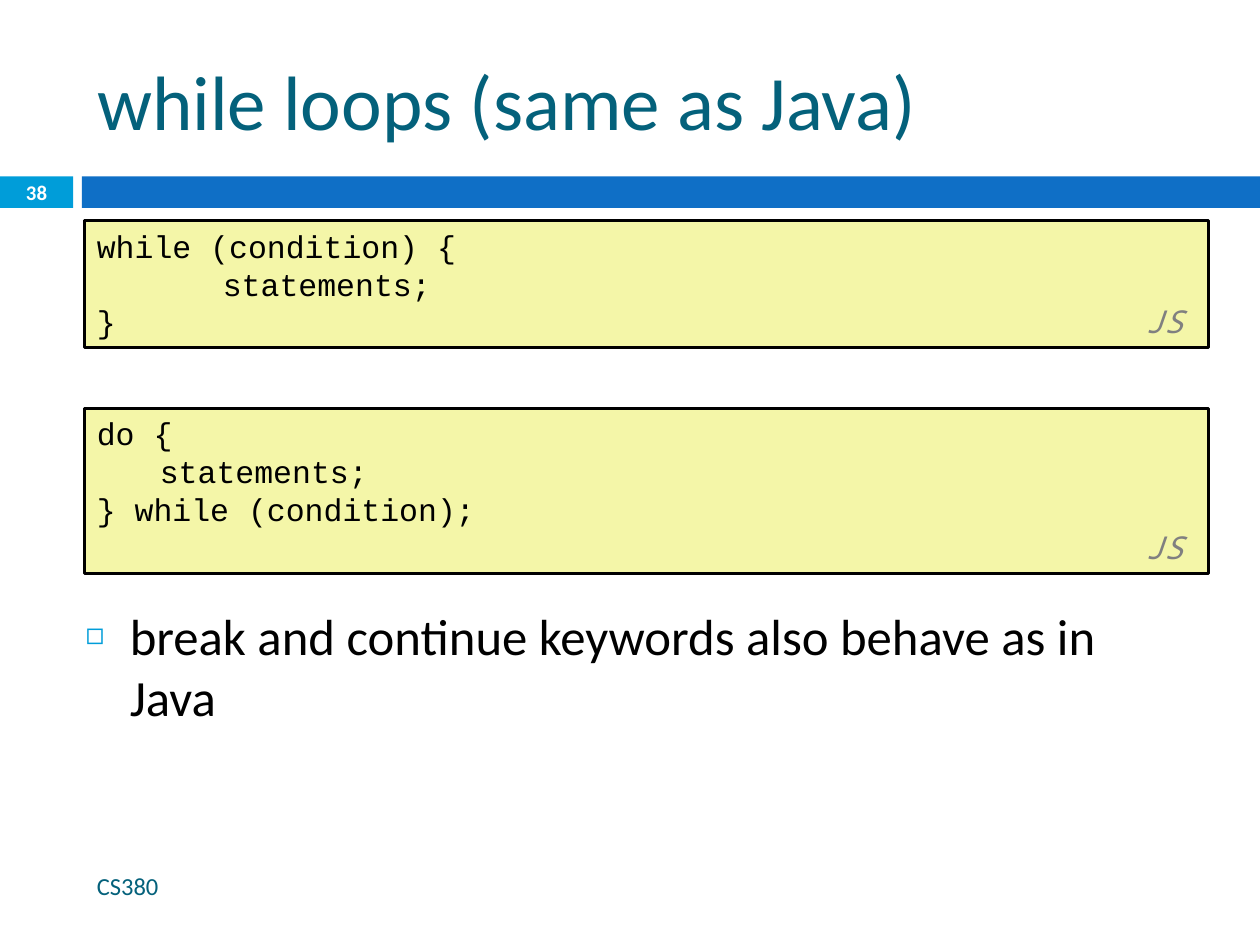
from lxml import etree
from pptx import Presentation
from pptx import util as u
from pptx.dml.color import RGBColor
from pptx.enum import shapes, text
from pptx.oxml import ns

COLORS = {
    "accent": "009DD9",
    "band": "0F6FC6",
    "heading": "04617B",
    "code_fill": "F4F6A8",
    "ink": "000000",
    "label": "808080",
    "white": "FFFFFF",
}
CODE = {"name": "Courier New", "size": u.Pt(18), "color": "ink"}
LABEL = {"name": "Noto Sans Mono", "size": u.Pt(18), "color": "label", "italic": True}
LABEL_TAB = u.Inches(8.62)


def color(key):
    return RGBColor.from_string(COLORS[key])


def place(shape, left, top, width, height):
    bounds = {"left": left, "top": top, "width": width, "height": height}
    for name, value in bounds.items():
        setattr(shape, name, u.Inches(value))


def add_span(para, words, style):
    span = para.add_run()
    span.text = words
    for name, value in style.items():
        if name == "color":
            span.font.color.rgb = color(value)
        else:
            setattr(span.font, name, value)


def set_frame(shape, anchor):
    frame = shape.text_frame
    settings = {
        "word_wrap": True,
        "auto_size": text.MSO_AUTO_SIZE.NONE,
        "vertical_anchor": anchor,
    }
    for name, value in settings.items():
        setattr(frame, name, value)
    return frame


def write_line(shape, words, style, align=text.PP_ALIGN.LEFT):
    """Fill a shape with one vertically centred paragraph."""
    para = set_frame(shape, text.MSO_ANCHOR.MIDDLE).paragraphs[0]
    para.alignment = align
    add_span(para, words, {"name": "Calibri", **style})


def add_label(page, bounds, words, style, align=text.PP_ALIGN.LEFT):
    box = page.shapes.add_textbox(*map(u.Inches, bounds))
    write_line(box, words, style, align)


def add_box(page, bounds, fill):
    box = page.shapes.add_shape(shapes.MSO_SHAPE.RECTANGLE, *map(u.Inches, bounds))
    box.shadow.inherit = False
    box.fill.solid()
    box.fill.fore_color.rgb = color(fill)
    box.line.fill.background()
    return box


def add_child(parent, tag, **attributes):
    return etree.SubElement(parent, ns.qn(tag), attributes)


def add_code(page, top, height, lines):
    """Draw a code box from (indent in inches, code, label) lines."""
    box = add_box(page, (0.67, top, 8.92, height), "code_fill")
    box.line.color.rgb = color("ink")
    box.line.width = u.Pt(1.5)
    frame = set_frame(box, text.MSO_ANCHOR.TOP)
    for index, (indent, code, label) in enumerate(lines):
        para = frame.add_paragraph() if index else frame.paragraphs[0]
        para.alignment = text.PP_ALIGN.LEFT
        props = para._p.get_or_add_pPr()
        props.set("marL", str(u.Inches(indent)))
        if code:
            add_span(para, code, CODE)
        if label:
            tabs = add_child(props, "a:tabLst")
            add_child(tabs, "a:tab", pos=str(LABEL_TAB), algn="r")
            add_span(para, "\t" + label, LABEL)


def add_bullet(body, words):
    para = set_frame(body, text.MSO_ANCHOR.TOP).paragraphs[0]
    para.space_before = u.Pt(7)
    props = para._p.get_or_add_pPr()
    props.set("marL", str(u.Inches(0.35)))
    props.set("indent", str(u.Inches(-0.35)))
    add_child(add_child(props, "a:buClr"), "a:srgbClr", val=COLORS["accent"])
    add_child(props, "a:buSzPct", val="60000")
    add_child(props, "a:buChar", char="◻")
    add_span(para, words, {"name": "Calibri", "size": u.Pt(29), "color": "ink"})


def main():
    deck = Presentation()
    deck.slide_width, deck.slide_height = u.Inches(10), u.Inches(7.5)
    page = deck.slides.add_slide(deck.slide_layouts[1])
    title, body = page.placeholders

    add_box(page, (0, 1.4, 0.58, 0.25), "accent")
    add_box(page, (0.65, 1.4, 9.35, 0.25), "band")

    place(title, 0.67, 0.25, 8.92, 1.08)
    write_line(title, "while loops (same as Java)", {"size": u.Pt(44), "color": "heading"})
    number = {"size": u.Pt(11.9), "color": "white", "bold": True}
    add_label(page, (0, 1.39, 0.58, 0.27), "38", number, text.PP_ALIGN.CENTER)

    add_code(page, 1.75, 1.01, [
        (0, "while (condition) {", ""),
        (1, "statements;", ""),
        (0, "}", "JS"),
    ])
    add_code(page, 3.24, 1.31, [
        (0, "do {", ""),
        (0.5, "statements;", ""),
        (0, "} while (condition);", ""),
        (0, "", "JS"),
    ])

    place(body, 0.58, 4.75, 8.92, 1.33)
    add_bullet(body, "break and continue keywords also behave as in Java")
    add_label(page, (0.67, 6.83, 5.93, 0.4), "CS380", {"size": u.Pt(14), "color": "heading"})
    deck.save("out.pptx")


if __name__ == "__main__":
    main()
